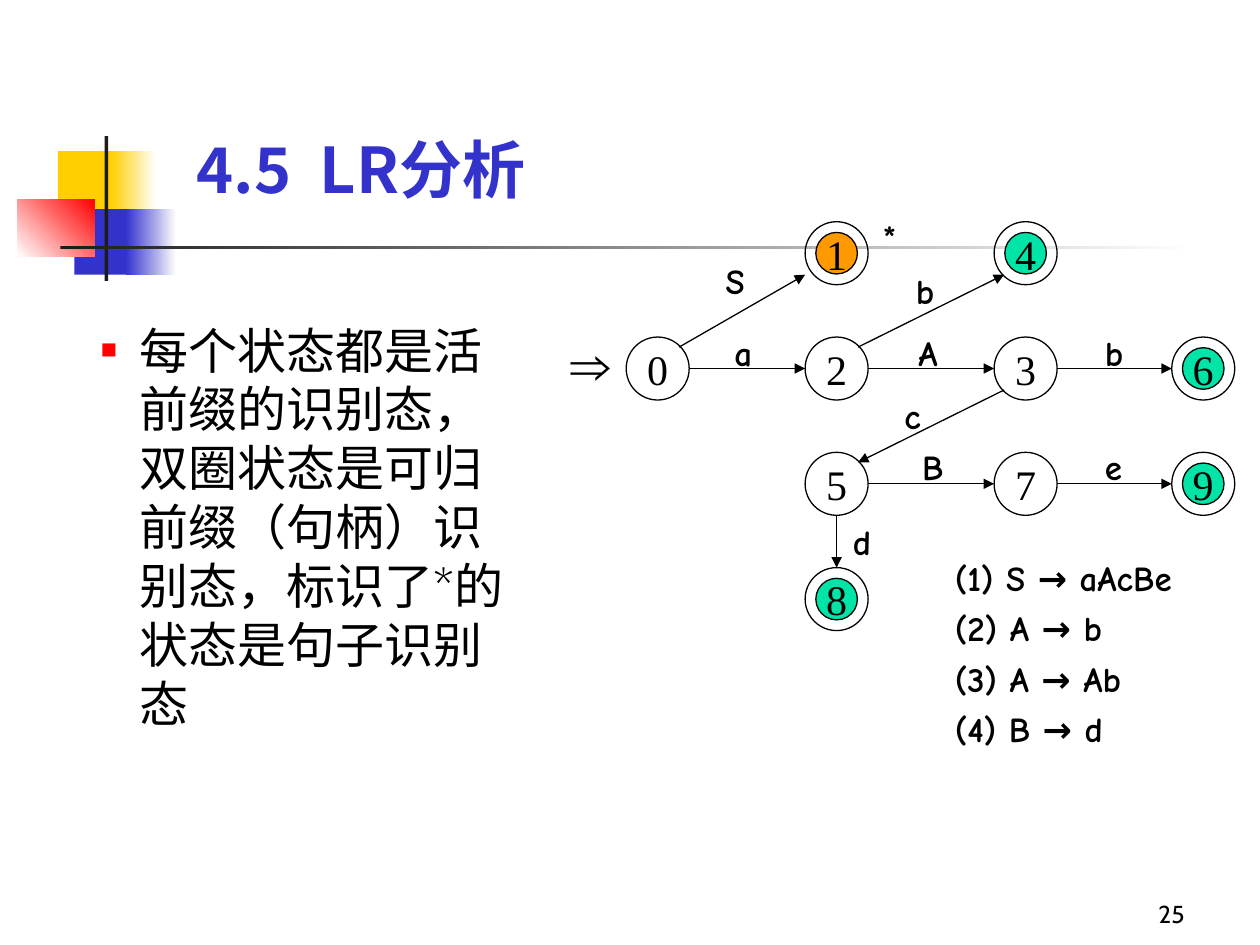
import pptx
import pptx.util
from dataclasses import dataclass
from lxml import etree
from pptx.dml.color import RGBColor
from pptx.enum.shapes import MSO_CONNECTOR, MSO_SHAPE
from pptx.enum.text import MSO_ANCHOR, MSO_AUTO_SIZE, PP_ALIGN
from pptx.oxml.ns import qn
from pptx.util import Inches


@dataclass(frozen=True)
class Theme:
    black: str = "000000"
    white: str = "FFFFFF"
    dark: str = "1C1C1C"
    blue: str = "3333CC"
    yellow: str = "FFCF01"
    red: str = "FF0000"
    green: str = "00E4A8"
    orange: str = "FF9900"
    cjk: str = "Noto Sans CJK SC"
    body: str = "Cabin"
    symbol: str = "Comic Neue"
    state: str = "Times New Roman"
    arrow: str = "Arial"
    title_size: int = 36
    arrow_size: int = 32
    body_size: int = 28
    state_size: int = 24
    symbol_size: int = 20
    page_size: int = 14
    line_width: float = 0.75


THEME = Theme()
STATE_SIZE, DISC_SIZE = 0.5, 0.33
RADIUS, DIAGONAL = 0.25, 0.17
COLUMNS = (5.22, 6.64, 8.14, 9.55)
ROWS = [2.01 + 0.915 * row for row in range(4)]

# State: column, row, colour of the inner disc
STATES = {
    0: (0, 1, None), 1: (1, 0, THEME.orange), 2: (1, 1, None),
    3: (2, 1, None), 4: (2, 0, THEME.green), 5: (1, 2, None),
    6: (3, 1, THEME.green), 7: (2, 2, None), 8: (1, 3, THEME.green),
    9: (3, 2, THEME.green),
}

# Offsets from the centre of a state to a point on its rim
EAST, WEST = (RADIUS, 0), (-RADIUS, 0)
NORTH, SOUTH = (0, -RADIUS), (0, RADIUS)
NORTH_EAST, SOUTH_WEST = (DIAGONAL, -DIAGONAL), (-DIAGONAL, DIAGONAL)

# Transition: from, leaving offset, to, arriving offset, symbol, label position
TRANSITIONS = [
    (0, EAST, 2, WEST, "a", (5.73, 2.58)),
    (2, EAST, 3, WEST, "A", (7.19, 2.58)),
    (3, EAST, 6, WEST, "b", (8.67, 2.58)),
    (5, EAST, 7, WEST, "B", (7.22, 3.49)),
    (7, EAST, 9, WEST, "e", (8.67, 3.49)),
    (0, NORTH_EAST, 1, (-RADIUS, DIAGONAL), "S", (5.66, 2.01)),
    (2, NORTH_EAST, 4, SOUTH_WEST, "b", (7.17, 2.09)),
    (3, SOUTH_WEST, 5, NORTH_EAST, "c", (7.08, 3.08)),
    (5, SOUTH, 8, NORTH, "d", (6.67, 4.08)),
]

# Ornament: left, top, width, height, colours, angle
ORNAMENTS = [
    (0.46, 1.2, 0.48, 0.52, [THEME.yellow], 0),
    (0.88, 1.2, 0.36, 0.52, [THEME.yellow, THEME.white], 0),
    (0.59, 1.66, 0.46, 0.52, [THEME.blue], 0),
    (1, 1.66, 0.4, 0.52, [THEME.blue, THEME.white], 0),
    (0.14, 1.58, 0.61, 0.46, [THEME.white, THEME.red], 45),
    (0.83, 1.08, 0.03, 1.15, [THEME.dark], 0),
    (0.48, 1.95, 9, 0.03, [THEME.dark, THEME.white], 0),
]


def apply(target, values):
    for name, value in values.items():
        setattr(target, name, value)


def place(shape, left, top, width, height):
    apply(shape, {"left": Inches(left), "top": Inches(top),
                  "width": Inches(width), "height": Inches(height)})


def write(box, text, font, size, color=THEME.black, bold=False,
          frame_format=None, para_format=None):
    """Fill a shape's text frame with one formatted paragraph."""
    frame = box.text_frame
    apply(frame, {"auto_size": MSO_AUTO_SIZE.NONE, "word_wrap": True,
                  **(frame_format or {})})
    para = frame.paragraphs[0]
    para.text = text
    apply(para, para_format or {})
    for span in para.runs:
        apply(span.font, {"name": font, "size": pptx.util.Pt(size), "bold": bold})
        span.font.color.rgb = RGBColor.from_string(color)
        east_asian = etree.SubElement(span.font._element, qn("a:ea"))
        east_asian.set("typeface", THEME.cjk)
    return para


def add_text(page, bounds, *args, **formats):
    box = page.shapes.add_textbox(*map(Inches, bounds))
    return write(box, *args, **formats)


def add_label(page, position, text, font=THEME.symbol, size=THEME.symbol_size,
              width=0.35, height=0.44):
    add_text(page, (*position, width, height), text, font, size, bold=True,
             frame_format={"word_wrap": False})


def add_ornament(page, left, top, width, height, colors, angle):
    block = page.shapes.add_shape(
        MSO_SHAPE.RECTANGLE, *map(Inches, (left, top, width, height)))
    block.shadow.inherit = False
    block.line.fill.background()
    if len(colors) == 1:
        block.fill.solid()
        block.fill.fore_color.rgb = RGBColor.from_string(colors[0])
        return
    block.fill.gradient()
    block.fill.gradient_angle = angle
    for stop, color in zip(block.fill.gradient_stops, colors):
        stop.color.rgb = RGBColor.from_string(color)


def center(state):
    column, row, _ = STATES[state]
    return COLUMNS[column], ROWS[row]


def add_circle(page, state, size, fill=None):
    x, y = center(state)
    circle = page.shapes.add_shape(
        MSO_SHAPE.OVAL, *map(Inches, (x - size / 2, y - size / 2, size, size)))
    circle.shadow.inherit = False
    circle.line.color.rgb = RGBColor.from_string(THEME.black)
    circle.line.width = pptx.util.Pt(THEME.line_width)
    if fill:
        circle.fill.solid()
        circle.fill.fore_color.rgb = RGBColor.from_string(fill)
    else:
        circle.fill.background()
    return circle


def add_state(page, state):
    disc_color = STATES[state][2]
    if disc_color:
        add_circle(page, state, DISC_SIZE, disc_color)
    write(add_circle(page, state, STATE_SIZE), str(state),
          THEME.state, THEME.state_size,
          frame_format={"word_wrap": False, "vertical_anchor": MSO_ANCHOR.MIDDLE},
          para_format={"alignment": PP_ALIGN.CENTER})


def add_transition(page, source, leaving, target, arriving, symbol, position):
    ends = [origin + shift
            for state, offset in ((source, leaving), (target, arriving))
            for origin, shift in zip(center(state), offset)]
    arrow = page.shapes.add_connector(MSO_CONNECTOR.STRAIGHT, *map(Inches, ends))
    arrow.line.color.rgb = RGBColor.from_string(THEME.black)
    arrow.line.width = pptx.util.Pt(THEME.line_width)
    etree.SubElement(arrow.line._get_or_add_ln(), qn("a:tailEnd"), type="triangle")
    etree.SubElement(arrow._element.spPr, qn("a:effectLst"))
    add_label(page, position, symbol)


def add_bullet(para):
    properties = para._p.get_or_add_pPr()
    apply_indent = {"marL": Inches(0.81), "indent": Inches(-0.31)}
    for name, value in apply_indent.items():
        properties.set(name, str(value))
    color = etree.SubElement(properties, qn("a:buClr"))
    etree.SubElement(color, qn("a:srgbClr"), val=THEME.red)
    etree.SubElement(properties, qn("a:buSzPct"), val="55000")
    etree.SubElement(properties, qn("a:buFont"), typeface=THEME.arrow)
    etree.SubElement(properties, qn("a:buChar"), char="■")


def main():
    deck = pptx.Presentation()
    apply(deck, {"slide_width": Inches(10), "slide_height": Inches(7.5)})
    page = deck.slides.add_slide(deck.slide_layouts[1])

    # Ornaments around the title
    for ornament in ORNAMENTS:
        add_ornament(page, *ornament)

    # Title, body and page number
    title, body = page.placeholders
    place(title, 1.46, 0.76, 7.46, 0.93)
    write(title, "4.5  LR分析", THEME.cjk, THEME.title_size, THEME.blue, True,
          {"vertical_anchor": MSO_ANCHOR.BOTTOM}, {"alignment": PP_ALIGN.LEFT})
    place(body, 0.2, 2.49, 3.94, 3.39)
    add_bullet(write(
        body, "每个状态都是活前缀的识别态，双圈状态是可归前缀（句柄）识别态，"
        "标识了*的状态是句子识别态", THEME.body, THEME.body_size,
        para_format={"level": 1, "space_before": pptx.util.Pt(0)}))
    add_text(page, (7.42, 6.92, 2.08, 0.5), "25", THEME.body, THEME.page_size,
             frame_format={"vertical_anchor": MSO_ANCHOR.BOTTOM},
             para_format={"alignment": PP_ALIGN.RIGHT})

    # Automaton
    for state in STATES:
        add_state(page, state)
    for transition in TRANSITIONS:
        add_transition(page, *transition)
    add_label(page, (6.91, 1.66), "*", width=0.3)
    add_label(page, (4.43, 2.57), "⇒", THEME.arrow, THEME.arrow_size, 0.55, 0.64)

    # Grammar
    rules = ("S → aAcBe", "A → b", "A → Ab", "B → d")
    grammar = "\v".join(f"({number}) {rule}" for number, rule in enumerate(rules, 1))
    add_text(page, (7.48, 4.3, 2.32, 1.7), grammar, THEME.symbol,
             THEME.symbol_size, bold=True, para_format={"line_spacing": 1.2})

    deck.save("out.pptx")


if __name__ == "__main__":
    main()
